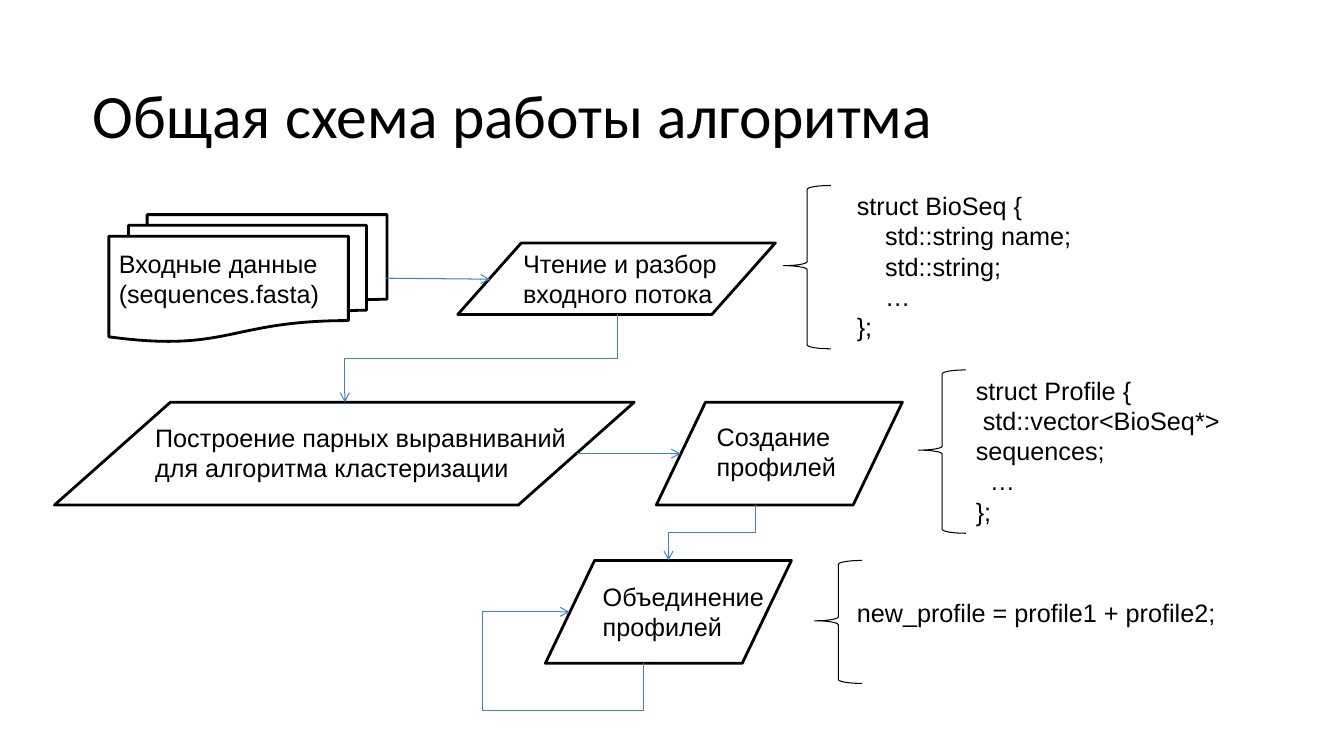
from dataclasses import dataclass

from lxml.etree import SubElement
from pptx import Presentation
from pptx.dml.color import RGBColor
from pptx.enum.shapes import MSO_CONNECTOR, MSO_SHAPE
from pptx.enum.text import MSO_ANCHOR
from pptx.oxml.ns import qn
from pptx.util import Pt


@dataclass(frozen=True)
class Theme:
    ink: RGBColor = RGBColor(0, 0, 0)
    paper: RGBColor = RGBColor(255, 255, 255)
    arrow: RGBColor = RGBColor(0x4B, 0x7E, 0xBC)
    title_font: str = "Calibri"
    body_font: str = "Arial"
    title_size: int = 44
    body_size: int = 18
    outline: float = 2
    hairline: float = 0.75


def px(length):
    return round(length * 9144)


def apply(target, values):
    for name, value in values.items():
        setattr(target, name, value)


class SchemeBuilder:
    def __init__(self, page, theme):
        self.page = page
        self.theme = theme

    def label(self, bounds, lines):
        self.text(bounds, lines, self.theme.body_font, self.theme.body_size, {})

    def title(self, bounds, wording):
        margins = dict.fromkeys(("margin_left", "margin_right", "margin_top", "margin_bottom"), 0)
        frame_format = {**margins, "vertical_anchor": MSO_ANCHOR.MIDDLE}
        self.text(bounds, [wording], self.theme.title_font, self.theme.title_size, frame_format)

    def text(self, bounds, lines, font, size, frame_format):
        box = self.page.shapes.add_textbox(*map(px, bounds))
        frame = box.text_frame
        apply(frame, {"word_wrap": True, **frame_format})
        for index, line in enumerate(lines):
            wording, indent = line if isinstance(line, tuple) else (line, 0)
            para = frame.paragraphs[0] if index == 0 else frame.add_paragraph()
            if indent:
                para._p.get_or_add_pPr().set("indent", str(px(indent)))
            span = para.add_run()
            span.text = wording
            apply(span.font, {"name": font, "size": Pt(size)})
            span.font.color.rgb = self.theme.ink

    def shape(self, kind, bounds, weight):
        shape = self.page.shapes.add_shape(kind, *map(px, bounds))
        shape.shadow.inherit = False
        shape.line.color.rgb = self.theme.ink
        shape.line.width = Pt(weight)
        return shape

    def block(self, kind, bounds):
        block = self.shape(kind, bounds, self.theme.outline)
        block.fill.solid()
        block.fill.fore_color.rgb = self.theme.paper

    def brace(self, bounds):
        brace = self.shape(MSO_SHAPE.LEFT_BRACE, bounds, self.theme.hairline)
        brace.fill.background()
        brace.adjustments[0] = 0.083
        brace.adjustments[1] = 0.491

    def arrow(self, kind, start, end):
        arrow = self.page.shapes.add_connector(kind, *map(px, start + end))
        arrow.line.color.rgb = self.theme.arrow
        arrow.line.width = Pt(self.theme.hairline)
        SubElement(arrow.line._get_or_add_ln(), qn("a:tailEnd"), type="arrow")
        SubElement(arrow.element.spPr, qn("a:effectLst"))
        return arrow

    def straight(self, start, end):
        self.arrow(MSO_CONNECTOR.STRAIGHT, start, end)

    def elbow(self, start, end, bends=()):
        (left, top), (right, bottom) = start, end
        middle_x, middle_y = (left + right) / 2, (top + bottom) / 2
        half_width, half_height = (bottom - top) / 2, (left - right) / 2
        arrow = self.arrow(
            MSO_CONNECTOR.ELBOW,
            (middle_x - half_width, middle_y - half_height),
            (middle_x + half_width, middle_y + half_height),
        )
        properties = arrow.element.spPr
        properties.find(qn("a:xfrm")).set("rot", "5400000")
        if bends:
            geometry = properties.find(qn("a:prstGeom"))
            geometry.set("prst", "bentConnector4")
            guides = geometry.find(qn("a:avLst"))
            if guides is None:
                guides = SubElement(geometry, qn("a:avLst"))
            for number, bend in enumerate(bends, 1):
                SubElement(guides, qn("a:gd"), name=f"adj{number}", fmla=f"val {bend}")


def main():
    deck = Presentation()
    deck.slide_width, deck.slide_height = px(1333), px(750)
    page = deck.slides.add_slide(deck.slide_layouts[6])
    scheme = SchemeBuilder(page, Theme())

    scheme.title((92, 40, 1150, 145), "Общая схема работы алгоритма")

    documents, data = MSO_SHAPE.FLOWCHART_MULTIDOCUMENT, MSO_SHAPE.FLOWCHART_DATA
    steps = [
        (documents, (108, 213, 276, 126), (108, 241, 234, 71),
         ["Входные данные", "(sequences.fasta)"]),
        (data, (454, 241, 315, 71), (509, 241, 213, 71),
         ["Чтение и разбор входного потока"]),
        (data, (54, 399, 575, 102), (144, 414, 465, 71),
         ["Построение парных выравниваний для алгоритма кластеризации"]),
        (data, (651, 399, 244, 102), (701, 413, 144, 71),
         ["Создание", "профилей"]),
        (data, (541, 556, 244, 102), (588, 572, 197, 71),
         ["Объединение", "профилей"]),
    ]
    for kind, outline, label, lines in steps:
        scheme.block(kind, outline)
        scheme.label(label, lines)

    space = 7
    structures = [
        ((777, 184, 47, 162), (840, 184, 260, 162),
         ["struct BioSeq {", ("std::string name;", 4 * space), ("std::string;", 4 * space),
          ("…", 4 * space), "};"]),
        ((911, 367, 47, 162), (958, 367, 362, 162),
         ["struct Profile {", ("std::vector<BioSeq*> sequences;", space),
          ("…", 2 * space), "};"]),
        ((808, 556, 47, 122), (840, 588, 402, 40),
         ["new_profile = profile1 + profile2;"]),
    ]
    for brace, listing, lines in structures:
        scheme.brace(brace)
        scheme.label(listing, lines)

    scheme.straight((383, 276), (486, 277))
    scheme.elbow((612, 312), (342, 399))
    scheme.straight((572, 450), (675, 450))
    scheme.elbow((749, 501), (663, 556))
    scheme.elbow((638, 658), (565, 607), bends=(-91500, 218900))

    deck.save("out.pptx")


if __name__ == "__main__":
    main()
